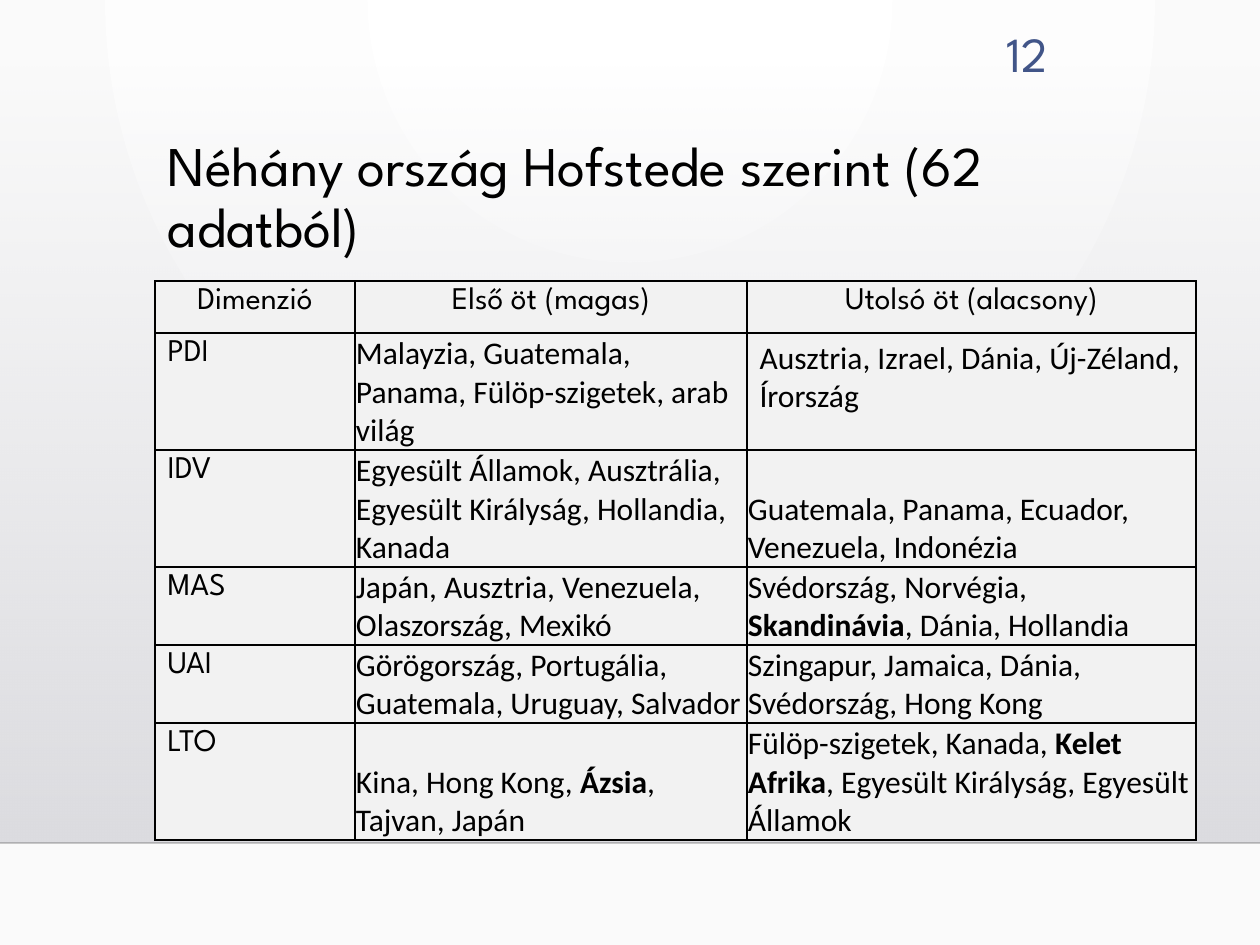
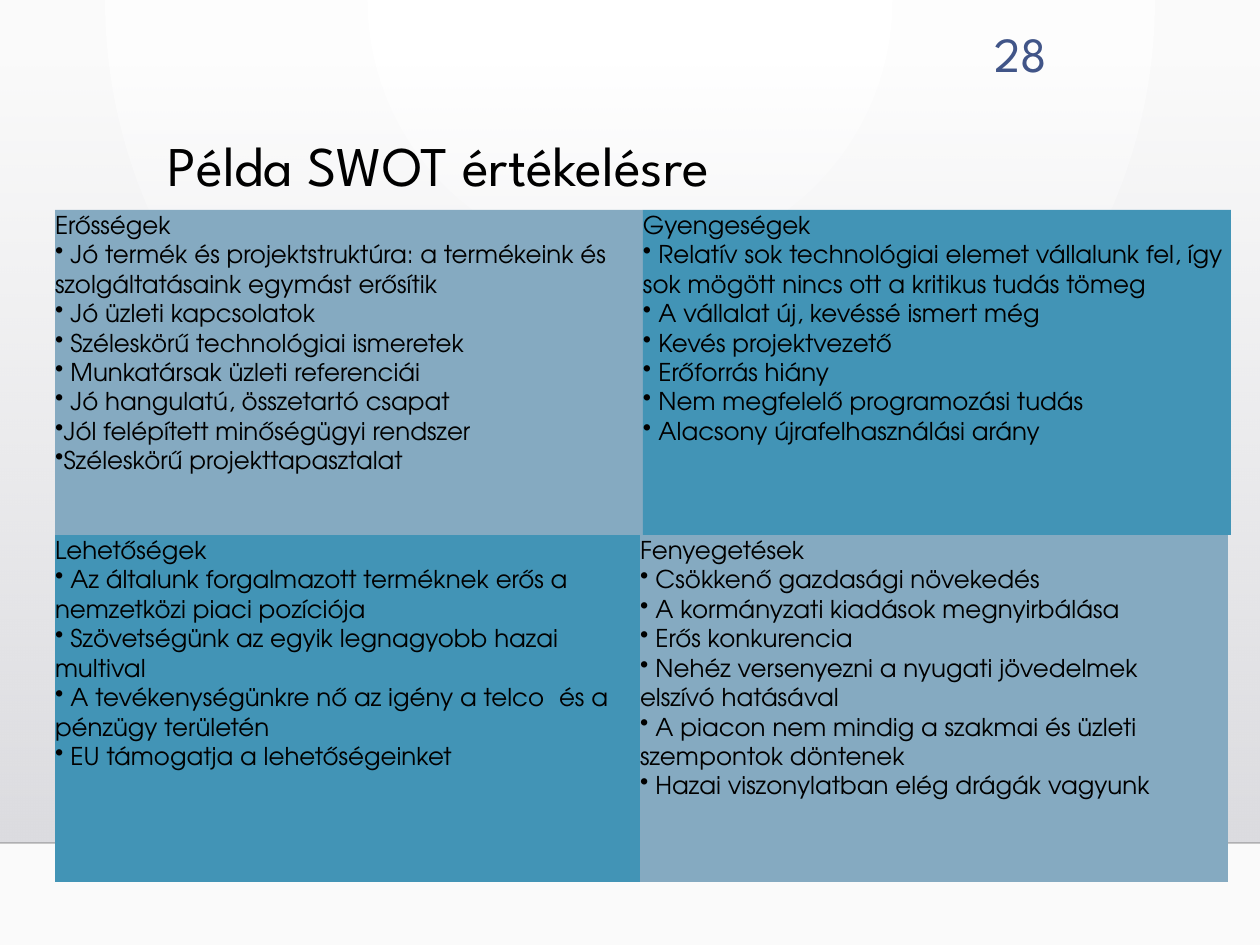
from dataclasses import dataclass

from lxml import etree
from pptx import Presentation
from pptx.dml.color import RGBColor
from pptx.enum.shapes import MSO_CONNECTOR, MSO_SHAPE
from pptx.enum.text import MSO_ANCHOR, MSO_AUTO_SIZE, PP_ALIGN
from pptx.oxml.ns import qn
from pptx.util import Pt

RECT = MSO_SHAPE.RECTANGLE
LINE = MSO_CONNECTOR.STRAIGHT
TOP, MIDDLE, BOTTOM = MSO_ANCHOR.TOP, MSO_ANCHOR.MIDDLE, MSO_ANCHOR.BOTTOM
LEFT, CENTER, RIGHT = PP_ALIGN.LEFT, PP_ALIGN.CENTER, PP_ALIGN.RIGHT
NO_FIT = MSO_AUTO_SIZE.NONE
SCALE = 914400 / 126


@dataclass(frozen=True)
class Theme:
    ink: str = "000000"
    white: str = "FFFFFF"
    paper: str = "FAFAFA"
    mist: str = "DCDCE0"
    haze: str = "DEDEE2"
    rule: str = "000001"
    number: str = "415588"
    cell: str = "F2F2F2"
    pale: str = "85AAC1"
    deep: str = "4294B6"
    head: str = "League Spartan"
    body: str = "Calibri"
    swot: str = "TeX Gyre Adventor"
    title_size: int = 32
    number_size: int = 28
    table_size: int = 18
    swot_size: int = 14


THEME = Theme()

HEADS = ("Dimenzió", "Első öt (magas)", "Utolsó öt (alacsony)")
RANKS = (
    ("PDI", "Malayzia, Guatemala, Panama, Fülöp-szigetek, arab világ",
     "Ausztria, Izrael, Dánia, Új-Zéland, Írország"),
    ("IDV", "Egyesült Államok, Ausztrália, Egyesült Királyság, Hollandia, Kanada",
     "Guatemala, Panama, Ecuador, Venezuela, Indonézia"),
    ("MAS", "Japán, Ausztria, Venezuela, Olaszország, Mexikó",
     "Svédország, Norvégia, *Skandinávia*, Dánia, Hollandia"),
    ("UAI", "Görögország, Portugália, Guatemala, Uruguay, Salvador",
     "Szingapur, Jamaica, Dánia, Svédország, Hong Kong"),
    ("LTO", "Kina, Hong Kong, *Ázsia*, Tajvan, Japán",
     "Fülöp-szigetek, Kanada, *Kelet Afrika*, Egyesült Királyság, Egyesült Államok"),
)
WIDTHS = (200, 392, 449)
HEIGHTS = (52, 117, 117, 78, 78, 117)

SWOT = (
    ((55, 210, 588, 325), THEME.pale, (
        "Erősségek",
        " Jó termék és projektstruktúra: a termékeink és szolgáltatásaink egymást erősítik",
        " Jó üzleti kapcsolatok",
        " Széleskörű technológiai ismeretek",
        " Munkatársak üzleti referenciái",
        " Jó hangulatú, összetartó csapat",
        "Jól felépített minőségügyi rendszer",
        "Széleskörű projekttapasztalat")),
    ((643, 210, 588, 325), THEME.deep, (
        "Gyengeségek",
        " Relatív sok technológiai elemet vállalunk fel, így sok mögött nincs ott a kritikus tudás tömeg",
        " A vállalat új, kevéssé ismert még",
        " Kevés projektvezető",
        " Erőforrás hiány",
        " Nem megfelelő programozási tudás",
        " Alacsony újrafelhasználási arány")),
    ((55, 535, 588, 347), THEME.deep, (
        "Lehetőségek",
        " Az általunk forgalmazott terméknek erős a nemzetközi piaci pozíciója",
        " Szövetségünk az egyik legnagyobb hazai \tmultival",
        " A tevékenységünkre nő az igény a telco \tés a pénzügy területén",
        " EU támogatja a lehetőségeinket")),
    ((640, 535, 588, 347), THEME.pale, (
        "Fenyegetések",
        " Csökkenő gazdasági növekedés",
        " A kormányzati kiadások megnyirbálása",
        " Erős konkurencia",
        " Nehéz versenyezni a nyugati jövedelmek \telszívó hatásával",
        " A piacon nem mindig a szakmai és üzleti \tszempontok döntenek",
        " Hazai viszonylatban elég drágák vagyunk")),
)


def px(*sizes):
    return [round(size * SCALE) for size in sizes]


def rgb(color):
    return RGBColor.from_string(color)


def node(parent, tag, **attrs):
    return etree.SubElement(parent, qn(tag), attrs)


def style(para, font, size, color=THEME.ink, align=LEFT):
    para.alignment = align
    for run in para.runs:
        run.font.name = font
        run.font.size = Pt(size)
        run.font.color.rgb = rgb(color)


def inset(item, left, top, right, bottom):
    (item.margin_left, item.margin_top,
     item.margin_right, item.margin_bottom) = px(left, top, right, bottom)


def blend(fill, *colors):
    fill.gradient()
    for stop, color in zip(fill.gradient_stops, colors):
        stop.color.rgb = rgb(color)


def fade(root, share):
    node(root.find(".//" + qn("a:srgbClr")), "a:alpha", val=str(share * 1000))


def add_back(master):
    blend(master.background.fill, THEME.white, THEME.paper)
    grad = master.element.find(".//" + qn("a:gradFill"))
    grad.remove(grad.find(qn("a:lin")))
    ring = node(grad, "a:path", path="circle")
    node(ring, "a:fillToRect", l="43000", t="0", r="43000", b="100000")


def add_band(slide, master):
    band = slide.shapes.add_shape(RECT, *px(0, 64, 1260, 779))
    band.shadow.inherit = False
    band.line.fill.background()
    blend(band.fill, THEME.mist, THEME.haze)
    band.fill.gradient_angle = 270
    fade(band.element.spPr, 0)
    rule = slide.shapes.add_connector(LINE, *px(0, 843, 1260, 843))
    rule.line.color.rgb = rgb(THEME.rule)
    rule.line.width = Pt(1)
    props = rule.element.spPr
    fade(props, 20)
    node(props, "a:effectLst")
    for shape in (band, rule):
        master.shapes.element.append(shape.element)


def add_slide(deck, number, text):
    slide = deck.slides.add_slide(deck.slide_layouts[5])
    box = slide.shapes.add_textbox(*px(950, 18, 110, 69))
    frame = box.text_frame
    frame.word_wrap = True
    frame.vertical_anchor = MIDDLE
    frame.text = number
    style(frame.paragraphs[0], THEME.head, THEME.number_size, THEME.number, RIGHT)
    title = slide.shapes.title
    title.left, title.top, title.width, title.height = px(155, 132, 906, 145)
    frame = title.text_frame
    frame.text = text
    frame.auto_size = NO_FIT
    frame.vertical_anchor = TOP
    para = frame.paragraphs[0]
    para.line_spacing = 0.9
    style(para, THEME.head, THEME.title_size)
    return slide


def add_edges(cell):
    props = cell._tc.get_or_add_tcPr()
    for side in "LRTB":
        edge = node(props, "a:ln" + side, w=str(Pt(1)))
        node(node(edge, "a:solidFill"), "a:srgbClr", val=THEME.ink)


def fill_cell(cell, text, font, align=LEFT):
    add_edges(cell)
    cell.fill.solid()
    cell.fill.fore_color.rgb = rgb(THEME.cell)
    para = cell.text_frame.paragraphs[0]
    for spot, part in enumerate(text.split("*")):
        run = para.add_run()
        run.text = part
        run.font.bold = spot % 2 == 1
    style(para, font, THEME.table_size, align=align)


def add_ranks(slide):
    rows = (HEADS, *RANKS)
    size = px(155, 281, sum(WIDTHS), sum(HEIGHTS))
    table = slide.shapes.add_table(len(rows), len(HEADS), *size).table
    table.first_row = table.horz_banding = False
    for col, width in zip(table.columns, px(*WIDTHS)):
        col.width = width
    for row, height in zip(table.rows, px(*HEIGHTS)):
        row.height = height
    for i, row in enumerate(rows):
        for j, text in enumerate(row):
            cell = table.cell(i, j)
            font = THEME.body if i and j else THEME.head
            fill_cell(cell, text, font, LEFT if i else CENTER)
            if i and j and (i, j) != (1, 2):
                inset(cell, 1, 1, 1, 0)
                cell.vertical_anchor = BOTTOM


def add_panel(group, place, color, lines):
    panel = group.shapes.add_shape(RECT, *px(*place))
    panel.shadow.inherit = False
    panel.line.fill.background()
    panel.fill.solid()
    panel.fill.fore_color.rgb = rgb(color)
    frame = panel.text_frame
    frame.word_wrap = True
    frame.vertical_anchor = TOP
    inset(frame, 0, 0, 0, 0)
    frame.text = "\n".join(lines)
    for spot, para in enumerate(frame.paragraphs):
        if spot:
            node(para._p.get_or_add_pPr(), "a:buChar", char="•")
        style(para, THEME.swot, THEME.swot_size)


def main():
    deck = Presentation()
    deck.slide_width, deck.slide_height = px(1260, 945)
    master = deck.slide_master
    add_back(master)
    slide = add_slide(deck, "12", "Néhány ország Hofstede szerint (62 adatból)")
    add_band(slide, master)
    add_ranks(slide)
    slide = add_slide(deck, "28", "Példa SWOT értékelésre")
    group = slide.shapes.add_group_shape()
    for place, color, lines in SWOT:
        add_panel(group, place, color, lines)
    deck.save("out.pptx")


if __name__ == "__main__":
    main()
